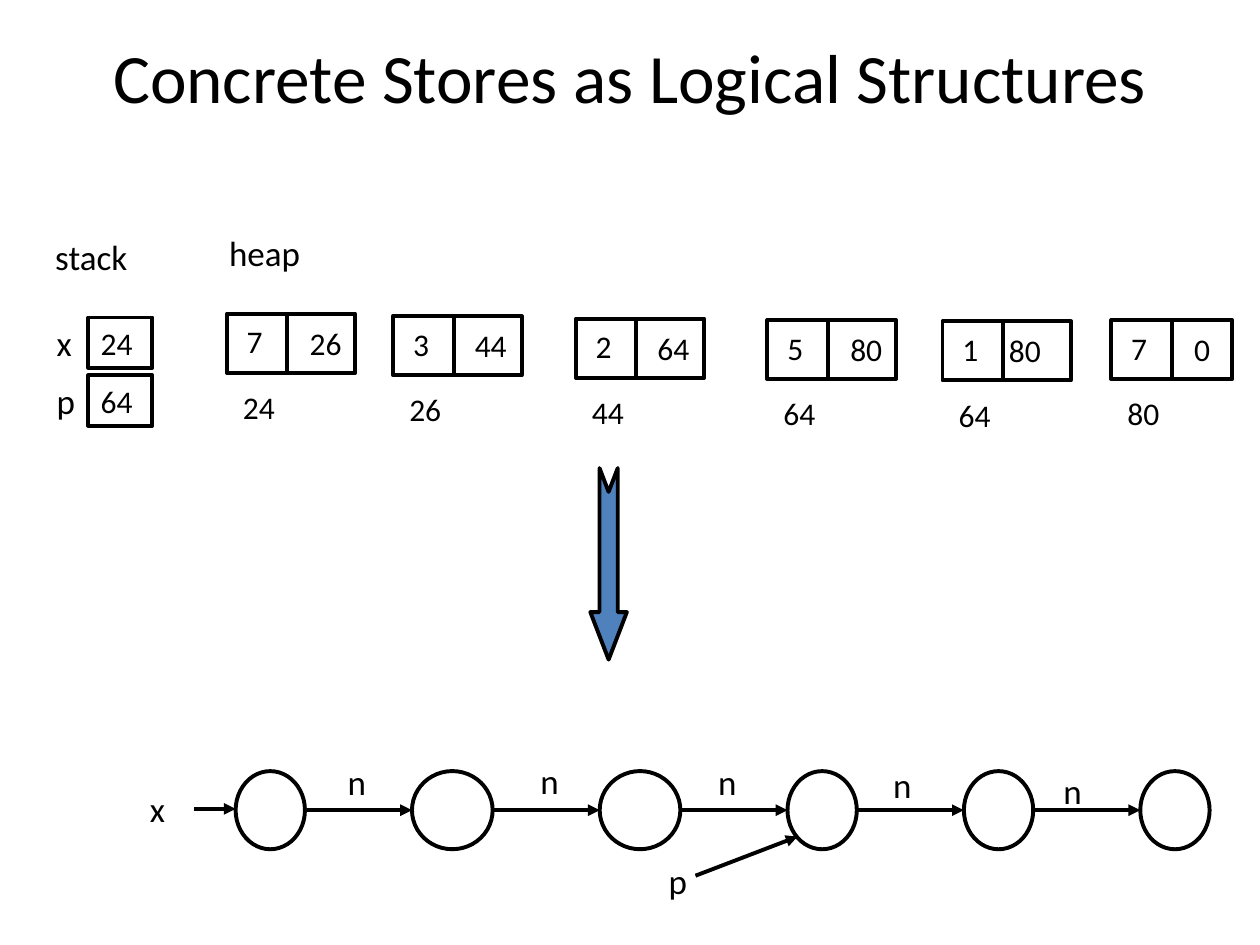
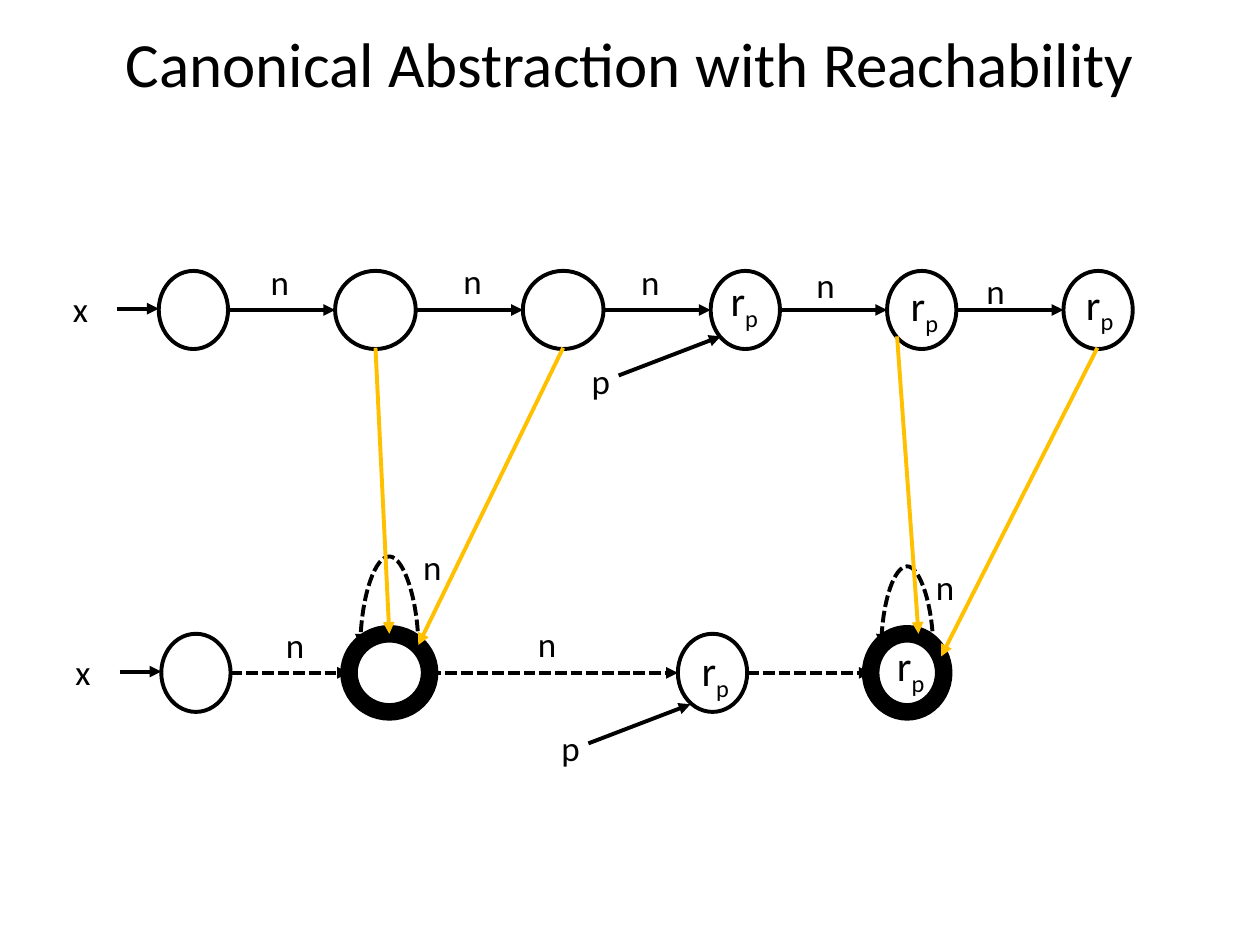
from lxml import etree
from pptx import Presentation
from pptx.dml.color import RGBColor
from pptx.enum.dml import MSO_LINE
from pptx.enum.shapes import MSO_CONNECTOR, MSO_SHAPE
from pptx.enum.text import MSO_ANCHOR, PP_ALIGN
from pptx.oxml.ns import qn
from pptx.util import Inches, Pt

# Shared look
FONT = "Calibri"
BLACK, BLUE, GOLD = "000000", "4F81BD", "FFC000"
LINE, SUMMARY_LINE = 2.25, 10
NODE_HEIGHT = 0.62

# Slide 1: stack and heap
STORES_TITLE = ("Concrete Stores as Logical Structures", 39.6, 0.19)
HEADINGS = [("stack", 0.34, 1.82), ("heap", 1.72, 1.79)]
STACK = [("x", "24", 2.52), ("p", "64", 2.98)]
# left, top, value, next, address, width of next cell, indent of next text
HEAP = [
    (1.80, 2.49, "7", "26", "24", 0.54, 0.56),
    (3.12, 2.51, "3", "44", "26", 0.54, 0.55),
    (4.57, 2.53, "2", "64", "44", 0.54, 0.55),
    (6.09, 2.54, "5", "80", "64", 0.54, 0.56),
    (7.48, 2.55, "1", "80", "64", 0.54, 0.43),
    (8.82, 2.54, "7", "0", "80", 0.48, 0.56),
]

# Linked list on both slides: node widths, gap, and label offsets in each gap
NODE_WIDTHS = [0.55, 0.64, 0.64, 0.55, 0.55, 0.55]
NODE_GAP = 0.85
EDGE_LABELS = [(0.24, -0.13), (0.28, -0.14), (0.20, -0.13), (0.19, -0.11), (0.14, -0.06)]
P_NODE = 3

# Slide 2: abstraction
ABSTRACTION_TITLE = ("Canonical Abstraction with Reachability", 36, 0.08)
ABSTRACT_TOP = 5.03
ABSTRACT_NODES = [  # left, width, outline
    (1.28, 0.55, LINE), (2.77, 0.64, SUMMARY_LINE),
    (5.38, 0.55, LINE), (6.91, 0.58, SUMMARY_LINE),
]
ABSTRACT_LABELS = [(2.17, 4.90), (4.17, 4.89), (3.26, 4.28), (7.33, 4.44)]
SELF_LOOPS = [(3.09, 5.13, 0.46, 0.73), (7.20, 5.13, 0.41, 0.65)]  # centre, base, width, rise
REACHABLE = [(5.70, 2.13), (7.13, 2.17), (8.52, 2.16), (5.47, 5.07), (7.02, 5.03)]
MAPPING = [
    ((2.98, 2.76), (3.09, 5.03)), ((4.47, 2.76), (3.32, 5.12)),
    ((7.12, 2.67), (7.29, 5.03)), ((8.71, 2.76), (7.47, 5.21)),
]


def color(hex_code):
    return RGBColor.from_string(hex_code)


def write(shape, runs, size, align=PP_ALIGN.LEFT):
    """Write (text, is_subscript) runs into a shape."""
    frame = shape.text_frame
    frame.word_wrap = True
    frame.vertical_anchor = MSO_ANCHOR.TOP
    paragraph = frame.paragraphs[0]
    paragraph.alignment = align
    for text, subscript in runs:
        run = paragraph.add_run()
        run.text = text
        run.font.name, run.font.size = FONT, Pt(size)
        run.font.color.rgb = color(BLACK)
        if subscript:
            run.font._element.set("baseline", "-25000")


def label(slide, text, left, top, width=0.45, size=20, align=PP_ALIGN.LEFT, subscript=None):
    height = size / 60 + 0.1
    box = slide.shapes.add_textbox(*map(Inches, (left, top, width, height)))
    runs = [(text, False)] + ([(subscript, True)] if subscript else [])
    write(box, runs, size, align)


def outline(slide, kind, left, top, width, height, weight=LINE, fill=None):
    shape = slide.shapes.add_shape(kind, *map(Inches, (left, top, width, height)))
    shape.shadow.inherit = False
    if fill:
        shape.fill.solid()
        shape.fill.fore_color.rgb = color(fill)
    else:
        shape.fill.background()
    shape.line.color.rgb = color(BLACK)
    shape.line.width = Pt(weight)
    return shape


def arrow(slide, start, end, line_color=BLACK, dashed=False, kind=MSO_CONNECTOR.STRAIGHT):
    connector = slide.shapes.add_connector(kind, *map(Inches, (*start, *end)))
    connector.line.color.rgb = color(line_color)
    connector.line.width = Pt(LINE)
    if dashed:
        connector.line.dash_style = MSO_LINE.SQUARE_DOT
    properties = connector._element.spPr
    etree.SubElement(properties.find(qn("a:ln")), qn("a:tailEnd"), type="triangle")
    etree.SubElement(properties, qn("a:effectLst"))
    return connector


def self_loop(slide, center, base, width, rise):
    """Dashed curve from right to left: a thin curved connector turned upwards."""
    depth = 0.01
    loop = arrow(slide, (center - depth / 2, base + width / 2),
                 (center + depth / 2, base - width / 2),
                 dashed=True, kind=MSO_CONNECTOR.CURVE)
    properties = loop._element.spPr
    properties.find(qn("a:xfrm")).set("rot", str(270 * 60000))
    geometry = properties.find(qn("a:prstGeom"))
    guides = geometry.find(qn("a:avLst"))
    if guides is None:
        guides = etree.SubElement(geometry, qn("a:avLst"))
    etree.SubElement(guides, qn("a:gd"), name="adj1",
                     fmla=f"val {round(rise / depth * 100000)}")


def x_pointer(slide, left, top):
    label(slide, "x", left - 0.78, top + 0.08)
    arrow(slide, (left - 0.33, top + 0.3), (left, top + 0.3))


def p_pointer(slide, left, top):
    label(slide, "p", left - 1.15, top + 0.65, align=PP_ALIGN.RIGHT)
    arrow(slide, (left - 0.73, top + 0.83), (left + 0.08, top + 0.52))


def linked_list(slide, left, top):
    middle = top + NODE_HEIGHT / 2
    x_pointer(slide, left, top)
    for index, width in enumerate(NODE_WIDTHS):
        outline(slide, MSO_SHAPE.OVAL, left, top, width, NODE_HEIGHT)
        if index == P_NODE:
            p_pointer(slide, left, top)
        right = left + width
        left = right + NODE_GAP
        if index < len(EDGE_LABELS):
            dx, dy = EDGE_LABELS[index]
            arrow(slide, (right, middle), (left, middle))
            label(slide, "n", right + dx, top + dy, 0.32)


def new_slide(prs, text, size, top):
    slide = prs.slides.add_slide(prs.slide_layouts[5])
    title = slide.shapes.title
    title.left, title.top, title.width, title.height = map(Inches, (0.5, top, 9, 0.83))
    write(title, [(text, False)], size, PP_ALIGN.CENTER)
    title.text_frame.vertical_anchor = MSO_ANCHOR.MIDDLE
    return slide


def stores_slide(prs):
    slide = new_slide(prs, *STORES_TITLE)
    for heading, left, top in HEADINGS:
        label(slide, heading, left, top, 1.13)
    # Stack
    for variable, value, top in STACK:
        label(slide, variable, 0.35, top - 0.02)
        cell = outline(slide, MSO_SHAPE.RECTANGLE, 0.7, top, 0.51, 0.4)
        write(cell, [(value, False)], 18)
    # Heap
    for left, top, value, following, address, next_width, indent in HEAP:
        outline(slide, MSO_SHAPE.RECTANGLE, left, top, 0.48, 0.47)
        outline(slide, MSO_SHAPE.RECTANGLE, left + 0.48, top, next_width, 0.47)
        label(slide, value, left + 0.06, top + 0.02, 0.36, 18)
        label(slide, following, left + indent, top + 0.03, 0.63, 18)
        label(slide, address, left + 0.03, top + 0.54, 0.63, 18)
    # Step from store to structure
    step = outline(slide, MSO_SHAPE.NOTCHED_RIGHT_ARROW, 4.07, 4.33, 1.52, 0.29, fill=BLUE)
    step.adjustments[0], step.adjustments[1] = 0.5, 1.3
    step.rotation = 90
    linked_list(slide, 1.87, 6.12)


def abstraction_slide(prs):
    slide = new_slide(prs, *ABSTRACTION_TITLE)
    linked_list(slide, 1.26, 2.15)
    # Abstract list
    middle = ABSTRACT_TOP + NODE_HEIGHT / 2
    for left, width, weight in ABSTRACT_NODES:
        outline(slide, MSO_SHAPE.OVAL, left, ABSTRACT_TOP, width, NODE_HEIGHT, weight)
    for (left, width, _), (next_left, _, _) in zip(ABSTRACT_NODES, ABSTRACT_NODES[1:]):
        arrow(slide, (left + width, middle), (next_left, middle), dashed=True)
    for loop in SELF_LOOPS:
        self_loop(slide, *loop)
    for left, top in ABSTRACT_LABELS:
        label(slide, "n", left, top, 0.32)
    x_pointer(slide, ABSTRACT_NODES[0][0], ABSTRACT_TOP)
    p_pointer(slide, ABSTRACT_NODES[2][0] + 0.02, ABSTRACT_TOP + 0.04)
    # Nodes reachable from p
    for left, top in REACHABLE:
        label(slide, "r", left, top, 0.56, 24, subscript="p")
    # Mapping to summary nodes
    for start, end in MAPPING:
        arrow(slide, start, end, GOLD)


def main():
    prs = Presentation()
    prs.slide_width, prs.slide_height = Inches(10), Inches(7.5)
    stores_slide(prs)
    abstraction_slide(prs)
    prs.save("out.pptx")


if __name__ == "__main__":
    main()
